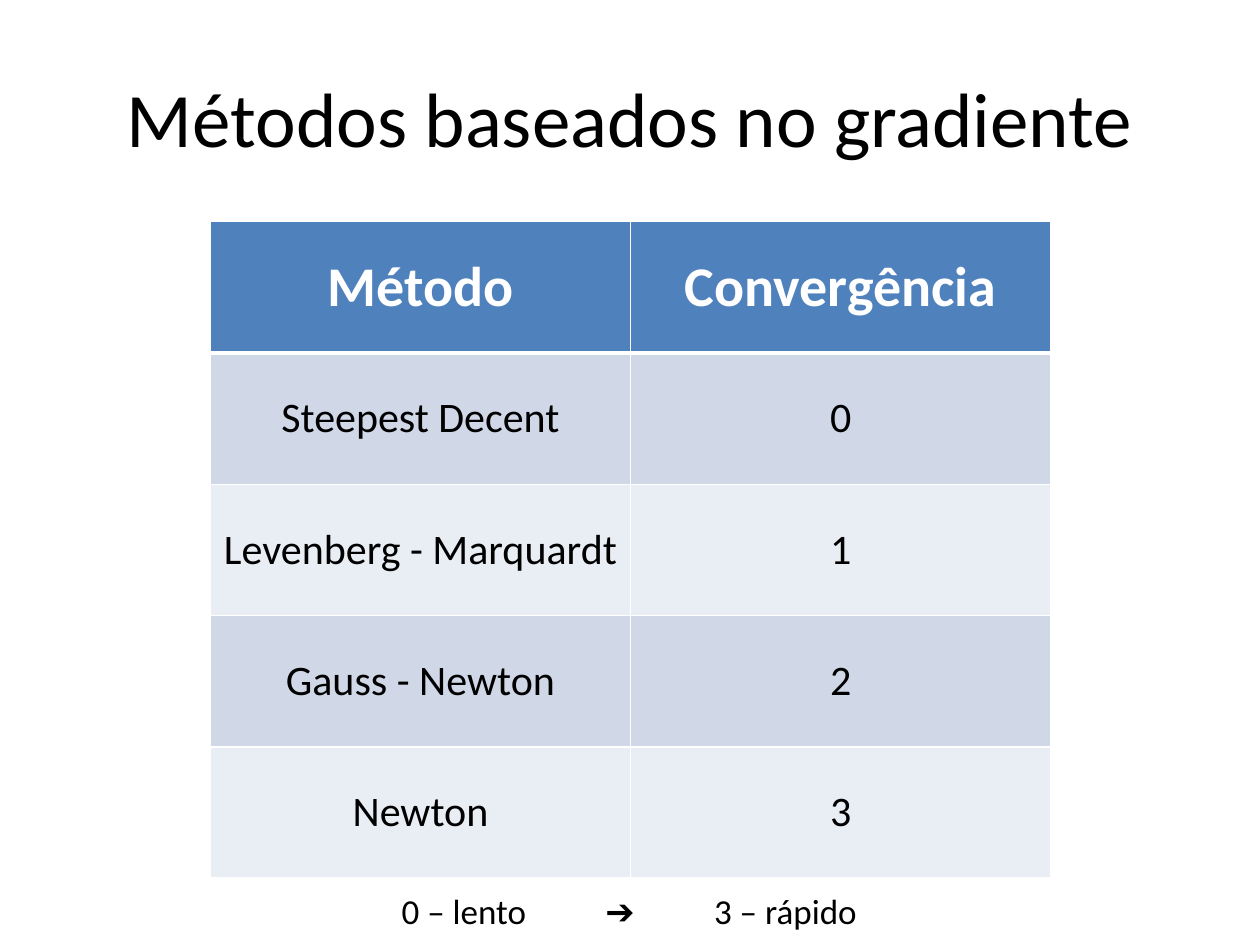
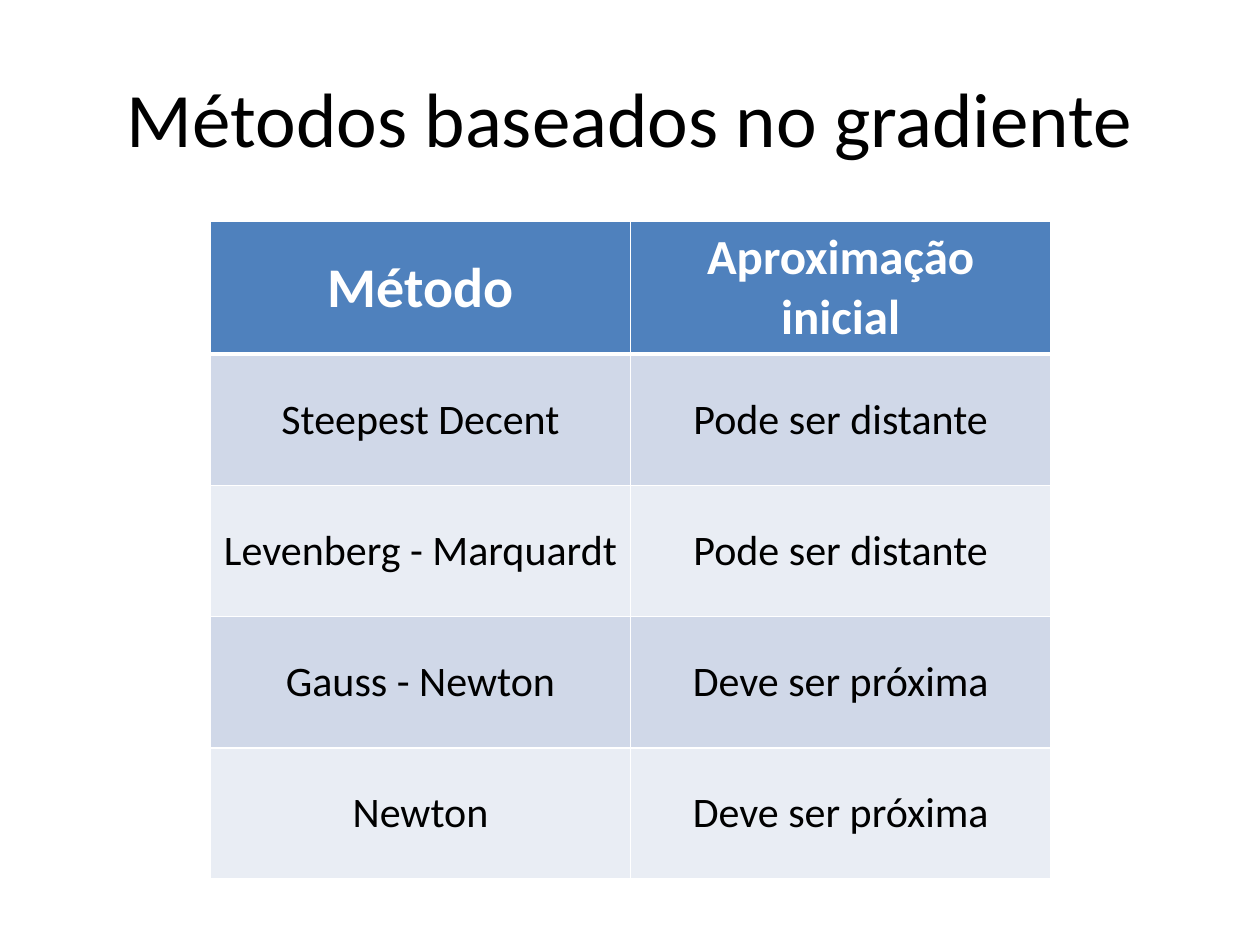
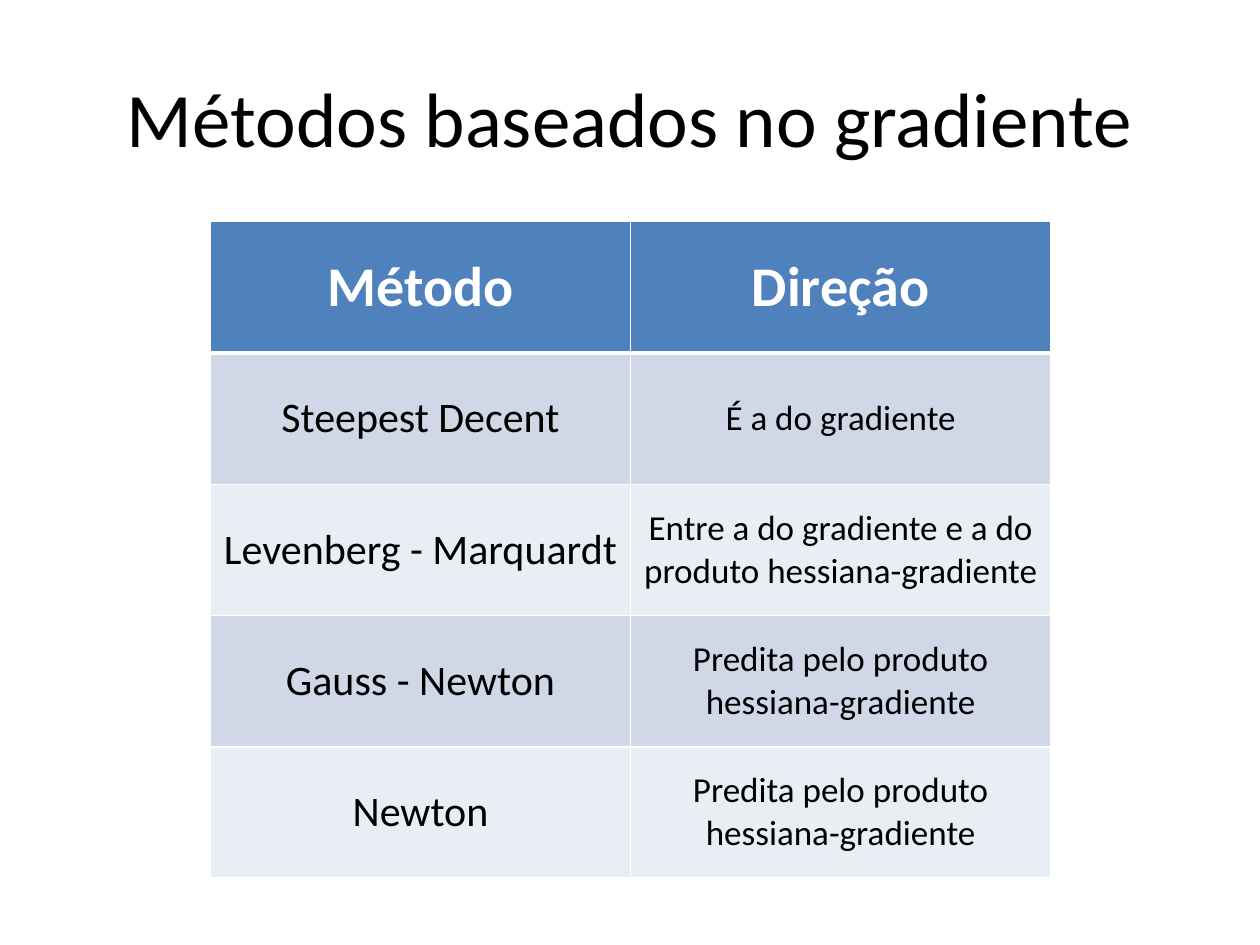
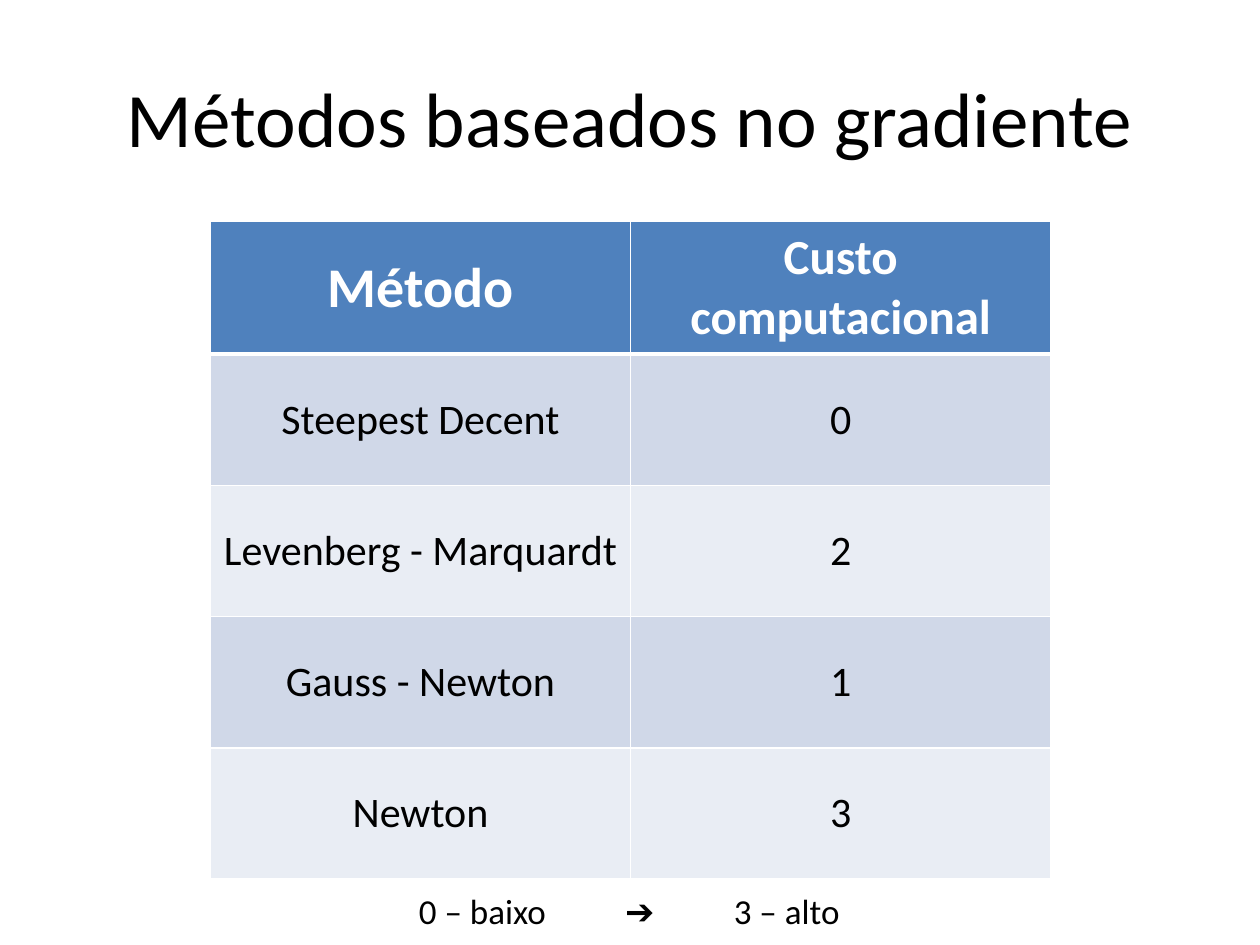
import pptx
import pptx.util
import pptx.dml.color
import pptx.enum.text
import pptx.oxml.ns
import lxml.etree

Inches, Pt = pptx.util.Inches, pptx.util.Pt
RGBColor = pptx.dml.color.RGBColor
CENTER = pptx.enum.text.PP_ALIGN.CENTER
MIDDLE = pptx.enum.text.MSO_ANCHOR.MIDDLE

# Shared look
FONT = "Calibri"
BLACK = RGBColor(0x00, 0x00, 0x00)
WHITE = RGBColor(0xFF, 0xFF, 0xFF)
HEADER_BLUE = RGBColor(0x4F, 0x81, 0xBD)
BANDS = (RGBColor(0xD0, 0xD8, 0xE8), RGBColor(0xE9, 0xED, 0xF4))

TITLE_FORMAT = {"name": FONT, "size": Pt(44), "color": BLACK}
HEADER_FORMAT = {"name": FONT, "size": Pt(32), "color": WHITE, "bold": True}
BODY_FORMAT = {"name": FONT, "size": Pt(24), "color": BLACK, "bold": False}
LEGEND_FORMAT = {"name": FONT, "size": Pt(20), "color": BLACK}

# Boxes: left, top, width, height in inches
TITLE_BOX = (0.5, 0.3, 9, 1.25)
TABLE_BOX = (1.67, 1.76, 6.67, 5.21)
LEGEND_BOX = (2.28, 7.01, 5.43, 0.44)
LEGEND_GAP = Pt(40.7)

TITLE = "Métodos baseados no gradiente"
METHODS = ("Steepest Decent", "Levenberg - Marquardt", "Gauss - Newton", "Newton")
HESSIAN = "Predita pelo produto hessiana-gradiente"

# One entry per slide: heading and values of the second column, with their sizes
COMPARISONS = (
    {"heading": "Convergência", "values": ("0", "1", "2", "3"),
     "legend": ("0 – lento", "➔", "3 – rápido")},
    {"heading": "Aproximação inicial", "heading_size": 28,
     "values": ("Pode ser distante",) * 2 + ("Deve ser próxima",) * 2},
    {"heading": "Direção", "value_size": 20,
     "values": ("É a do gradiente",
                "Entre a do gradiente e a do produto hessiana-gradiente",
                HESSIAN, HESSIAN)},
    {"heading": "Custo computacional", "heading_size": 28,
     "values": ("0", "2", "1", "3"),
     "legend": ("0 – baixo", "➔", "3 – alto")},
)


def add_run(paragraph, text, formats):
    run = paragraph.add_run()
    run.text = text
    for name, value in formats.items():
        if name == "color":
            run.font.color.rgb = value
        else:
            setattr(run.font, name, value)
    return run


def add_title(slide, box):
    title = slide.shapes.title
    for name, value in zip(("left", "top", "width", "height"), box):
        setattr(title, name, Inches(value))
    title.text_frame.vertical_anchor = MIDDLE
    paragraph = title.text_frame.paragraphs[0]
    paragraph.alignment = CENTER
    add_run(paragraph, TITLE, TITLE_FORMAT)


def set_borders(cell, widths):
    """Draw white cell edges; widths maps an edge tag to points."""
    properties = cell._tc.get_or_add_tcPr()
    qn = pptx.oxml.ns.qn
    for edge, width in widths.items():
        line = lxml.etree.SubElement(properties, qn("a:" + edge), w=str(Pt(width)))
        fill = lxml.etree.SubElement(line, qn("a:solidFill"))
        lxml.etree.SubElement(fill, qn("a:srgbClr"), val=str(WHITE))


def fill_cell(cell, text, formats, color, borders):
    set_borders(cell, borders)
    cell.fill.solid()
    cell.fill.fore_color.rgb = color
    cell.vertical_anchor = MIDDLE
    paragraph = cell.text_frame.paragraphs[0]
    paragraph.alignment = CENTER
    add_run(paragraph, text, formats)


def add_comparison_table(slide, box, comparison):
    rows = [("Método", comparison["heading"]), *zip(METHODS, comparison["values"])]
    left, top, width, height = map(Inches, box)
    table = slide.shapes.add_table(len(rows), 2, left, top, width, height).table

    for row_index, row in enumerate(rows):
        is_header = row_index == 0
        formats = HEADER_FORMAT if is_header else BODY_FORMAT
        size = comparison.get("heading_size" if is_header else "value_size")
        value_formats = {**formats, "size": Pt(size)} if size else formats
        color = HEADER_BLUE if is_header else BANDS[(row_index - 1) % 2]
        borders = {"lnL": 1, "lnR": 1}
        if is_header:
            borders["lnT"] = 1
        borders["lnB"] = 3 if is_header else 1
        for column, cell_formats in enumerate((formats, value_formats)):
            fill_cell(table.cell(row_index, column), row[column],
                      cell_formats, color, borders)


def add_legend(slide, box, parts):
    """Centre the parts on one line, with a widened space between them."""
    frame = slide.shapes.add_textbox(*map(Inches, box)).text_frame
    frame.word_wrap = True
    frame.auto_size = pptx.enum.text.MSO_AUTO_SIZE.SHAPE_TO_FIT_TEXT
    paragraph = frame.paragraphs[0]
    paragraph.alignment = CENTER
    for index, part in enumerate(parts):
        if index:
            gap = add_run(paragraph, " ", LEGEND_FORMAT)
            gap._r.get_or_add_rPr().set("spc", str(round(LEGEND_GAP.pt * 100)))
        add_run(paragraph, part, LEGEND_FORMAT)


def add_comparison_slide(presentation, comparison):
    slide = presentation.slides.add_slide(presentation.slide_layouts[5])
    add_title(slide, TITLE_BOX)
    add_comparison_table(slide, TABLE_BOX, comparison)
    if "legend" in comparison:
        add_legend(slide, LEGEND_BOX, comparison["legend"])


presentation = pptx.Presentation()
presentation.slide_width = Inches(10)
presentation.slide_height = Inches(7.5)
for comparison in COMPARISONS:
    add_comparison_slide(presentation, comparison)
presentation.save("out.pptx")
